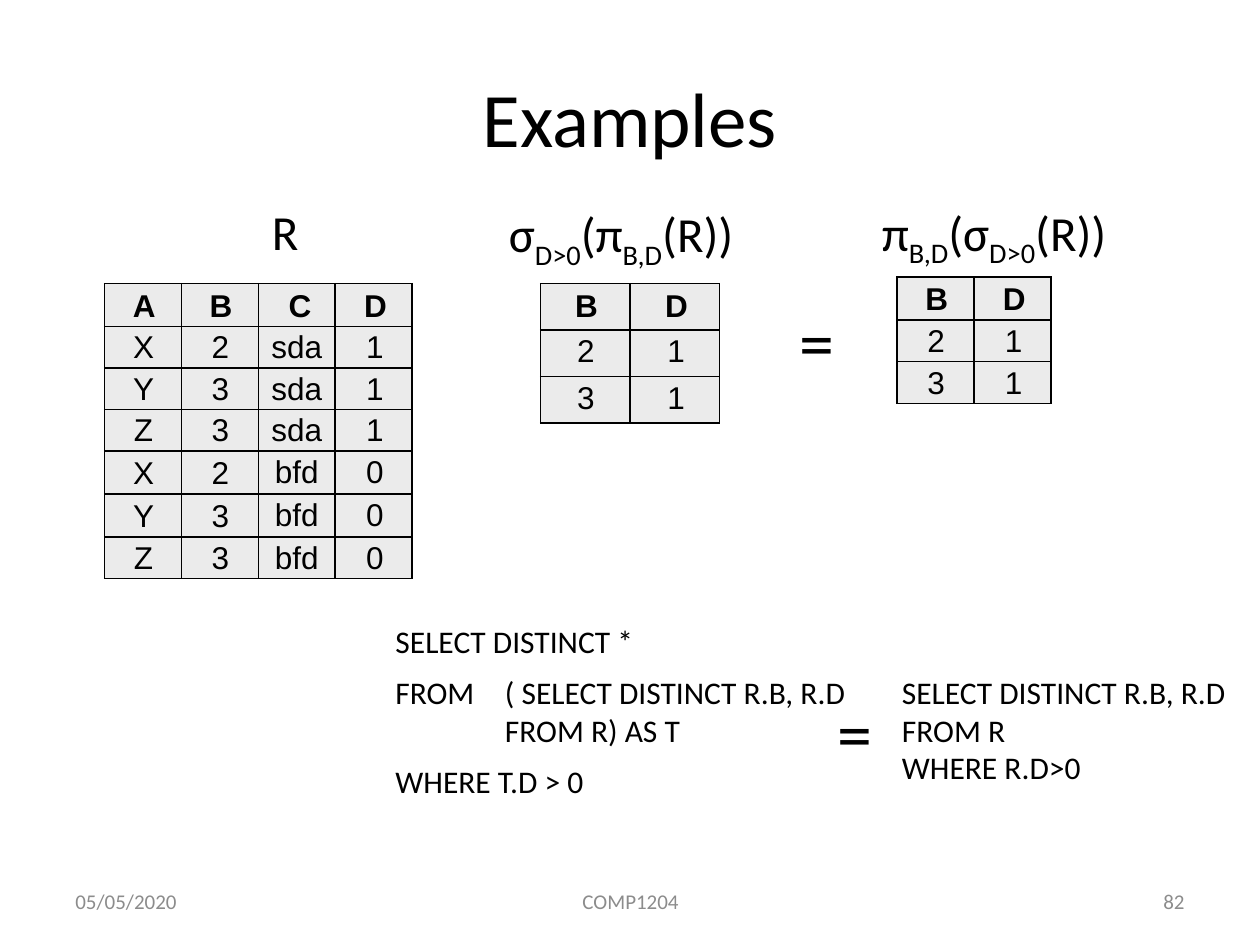
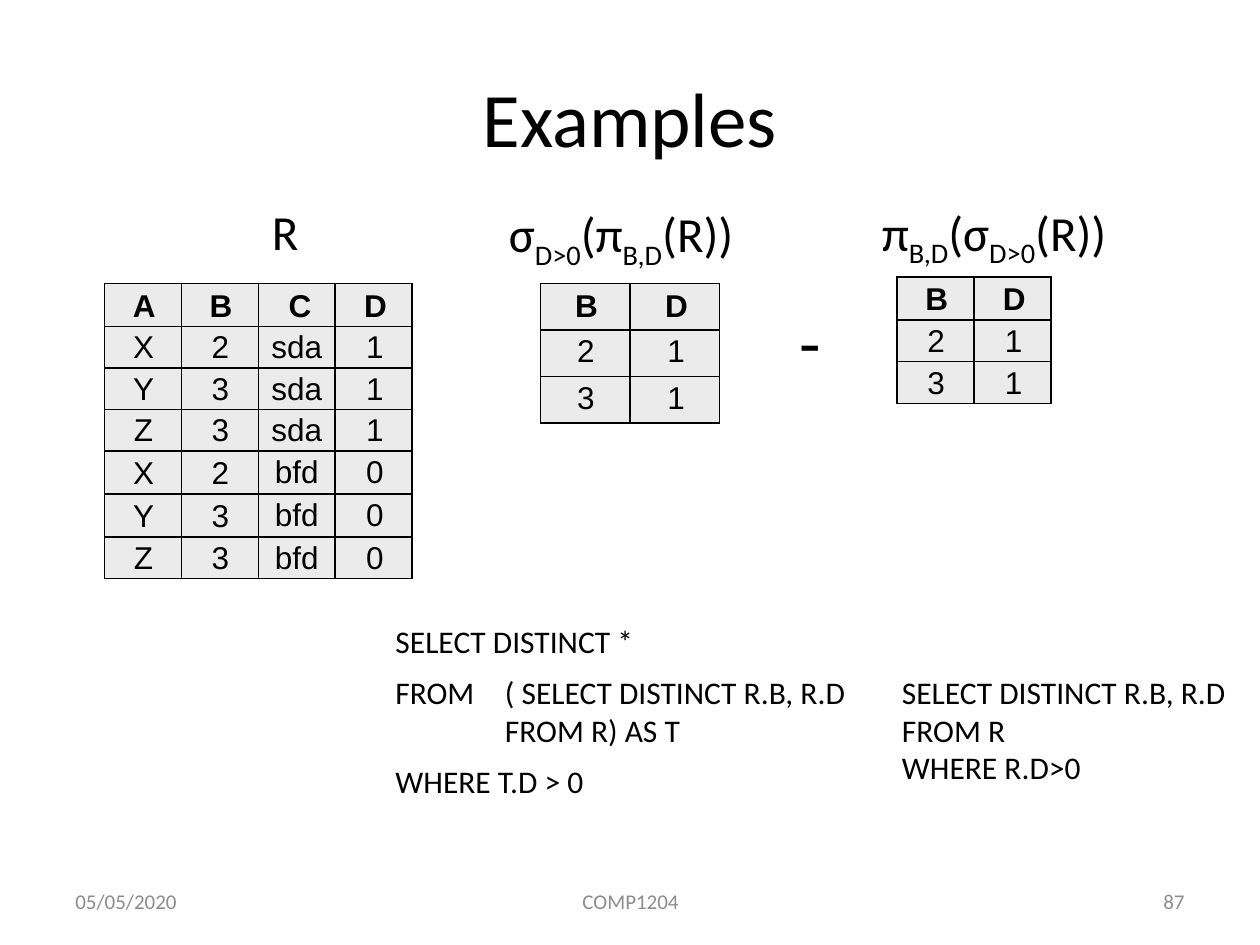
"""Build two slides that compare relational algebra expressions with SQL queries."""
import pptx
import pptx.dml.color
import pptx.enum.text
import pptx.oxml
import pptx.oxml.ns
import pptx.util

Inches = pptx.util.Inches
Pt = pptx.util.Pt
ALIGN = pptx.enum.text.PP_ALIGN
ANCHOR = pptx.enum.text.MSO_ANCHOR
BLACK = pptx.dml.color.RGBColor(0x00, 0x00, 0x00)
GREY = pptx.dml.color.RGBColor(0x8C, 0x8C, 0x8C)
CELL_GREY = pptx.dml.color.RGBColor(0xEB, 0xEB, 0xEB)

TITLE_ONLY = 5
CELL_INDENTS = {"A": 0.01, "B": 0.01, "C": 0, "D": 0.02}
RELATION = ["ABCD", ("X", "2", "sda", "1"), ("Y", "3", "sda", "1"), ("Z", "3", "sda", "1"),
            ("X", "2", "bfd", "0"), ("Y", "3", "bfd", "0"), ("Z", "3", "bfd", "0")]
RELATION_HEIGHTS = [0.33, 0.32, 0.33, 0.33, 0.33, 0.33, 0.32]
RELATION_SPACING = [(4, 4), (3.1, 3.1), (3.4, 3.1), (3.5, 3.1), (3.8, 3.4), (4, 3.4), (3.1, 3.4)]
RESULT = ["BD", "21", "31"]
RESULT_SPACING = RELATION_SPACING[:3]


def write_text(frame, text, size=18, font="Calibri", color=BLACK, bold=False,
               align=ALIGN.LEFT, indent=0, space_before=0):
    """Write one paragraph per line; every second piece between bars is a subscript."""
    for number, line in enumerate(text.split("\n")):
        para = frame.add_paragraph() if number else frame.paragraphs[0]
        para.alignment = align
        para.space_before = Pt(space_before)
        para._p.get_or_add_pPr().set("marL", str(Inches(indent)))
        for position, piece in enumerate(line.split("|")):
            span = para.add_run()
            span.text = piece
            span.font.size = Pt(size)
            span.font.name = font
            span.font.bold = bold
            span.font.color.rgb = color
            if position % 2:
                span.font._element.set("baseline", "-25000")


class SlideWriter:
    """Hold the deck and the current slide, and add styled elements to it."""

    def __init__(self):
        """Start an empty deck."""
        self.deck = pptx.Presentation()
        self.deck.slide_width = Inches(10)
        self.deck.slide_height = Inches(7.5)
        self.slide = None

    def start(self, title, number):
        """Add a slide with its title and footer."""
        self.slide = self.deck.slides.add_slide(self.deck.slide_layouts[TITLE_ONLY])
        box = self.slide.shapes.title
        box.left, box.top, box.width, box.height = map(Inches, (0.5, 0.3, 9, 1.25))
        box.text_frame.vertical_anchor = ANCHOR.MIDDLE
        write_text(box.text_frame, title, size=44, align=ALIGN.CENTER)
        for text, left, width, align in (("05/05/2020", 0.5, 2.33, ALIGN.LEFT),
                                         ("COMP1204", 3.42, 3.17, ALIGN.CENTER),
                                         (number, 7.17, 2.33, ALIGN.RIGHT)):
            frame = self.text(text, left, 6.95, width, 0.4, wrap=True, grow=False,
                              size=12, color=GREY, align=align)
            frame.vertical_anchor = ANCHOR.MIDDLE

    def text(self, text, left, top, width, height, wrap=False, grow=True, **style):
        """Add a text box and return its text frame."""
        box = self.slide.shapes.add_textbox(*map(Inches, (left, top, width, height)))
        frame = box.text_frame
        frame.word_wrap = wrap
        if grow:
            frame.auto_size = pptx.enum.text.MSO_AUTO_SIZE.SHAPE_TO_FIT_TEXT
        write_text(frame, text, **style)
        return frame

    def table(self, rows, left, top, column_width, heights, spacing):
        """Add a bordered table whose first row names the columns."""
        names = rows[0]
        size = (column_width * len(names), sum(heights))
        shape = self.slide.shapes.add_table(len(rows), len(names),
                                            *map(Inches, (left, top, *size)))
        table = shape.table
        table.first_row = table.horz_banding = False
        for column in table.columns:
            column.width = Inches(column_width)
        for row_number, values in enumerate(rows):
            table.rows[row_number].height = Inches(heights[row_number])
            for column_number, (name, value) in enumerate(zip(names, values)):
                space = spacing[row_number][name in "CD"]
                self.cell(table.cell(row_number, column_number), value, name,
                          row_number == 0, space)

    def cell(self, cell, value, name, header, space):
        """Fill one table cell with text, colour and borders."""
        cell.margin_left = cell.margin_right = cell.margin_bottom = 0
        cell.margin_top = Inches(0.04 if space >= 3.8 else 0.03)
        align, indent = ALIGN.CENTER, CELL_INDENTS[name]
        if header:
            indent += 0.01
            if name == "C":
                align, indent = ALIGN.LEFT, 0.24
        write_text(cell.text_frame, value, font="Arial", bold=header, align=align,
                   indent=indent, space_before=space)
        properties = cell._tc.get_or_add_tcPr()
        for side in ("lnL", "lnR", "lnT", "lnB"):
            properties.append(pptx.oxml.parse_xml(
                f'<a:{side} {pptx.oxml.ns.nsdecls("a")} w="{Pt(1)}"><a:solidFill>'
                f'<a:srgbClr val="{BLACK}"/></a:solidFill></a:{side}>'))
        cell.fill.solid()
        cell.fill.fore_color.rgb = CELL_GREY

    def example(self, number, operators):
        """Add one comparison slide with its operator signs."""
        self.start("Examples", number)
        self.table(RELATION, 0.83, 2.25, 0.61, RELATION_HEIGHTS, RELATION_SPACING)
        self.text("R", 2.06, 1.55, 0.99, 0.57, wrap=True, size=28)
        self.table(RESULT, 4.29, 2.25, 0.71, [0.37] * 3, RESULT_SPACING)
        self.text("σ|D>0|(π|B,D|(R))", 3.94, 1.57, 2.11, 0.57, size=28)
        self.text("( SELECT DISTINCT R.B, R.D\nFROM R) AS T", 3.91, 5.29, 2.93, 0.71)
        self.table(RESULT, 7.12, 2.2, 0.61, RELATION_HEIGHTS[:3], RESULT_SPACING)
        self.text("π|B,D|(σ|D>0|(R))", 6.9, 1.56, 2.19, 0.57, wrap=True, size=28)
        for clause, top, width in (("SELECT DISTINCT *", 4.89, 2.11),
                                   ("FROM", 5.29, 0.83), ("WHERE T.D > 0", 6, 1.83)):
            self.text(clause, 3.04, top, width, 0.4)
        self.text("SELECT DISTINCT R.B, R.D\nFROM R\nWHERE R.D>0", 7.06, 5.29, 2.79, 1.01)
        for sign, left, top, width in operators:
            self.text(sign, left, top, width, 0.77, size=40)


def main():
    """Build and save the deck."""
    writer = SlideWriter()
    writer.example("82", [("=", 6.25, 2.32, 0.48), ("=", 6.55, 5.42, 0.48)])
    writer.example("87", [("-", 6.25, 2.32, 0.37)])
    writer.deck.save("out.pptx")


if __name__ == "__main__":
    main()
